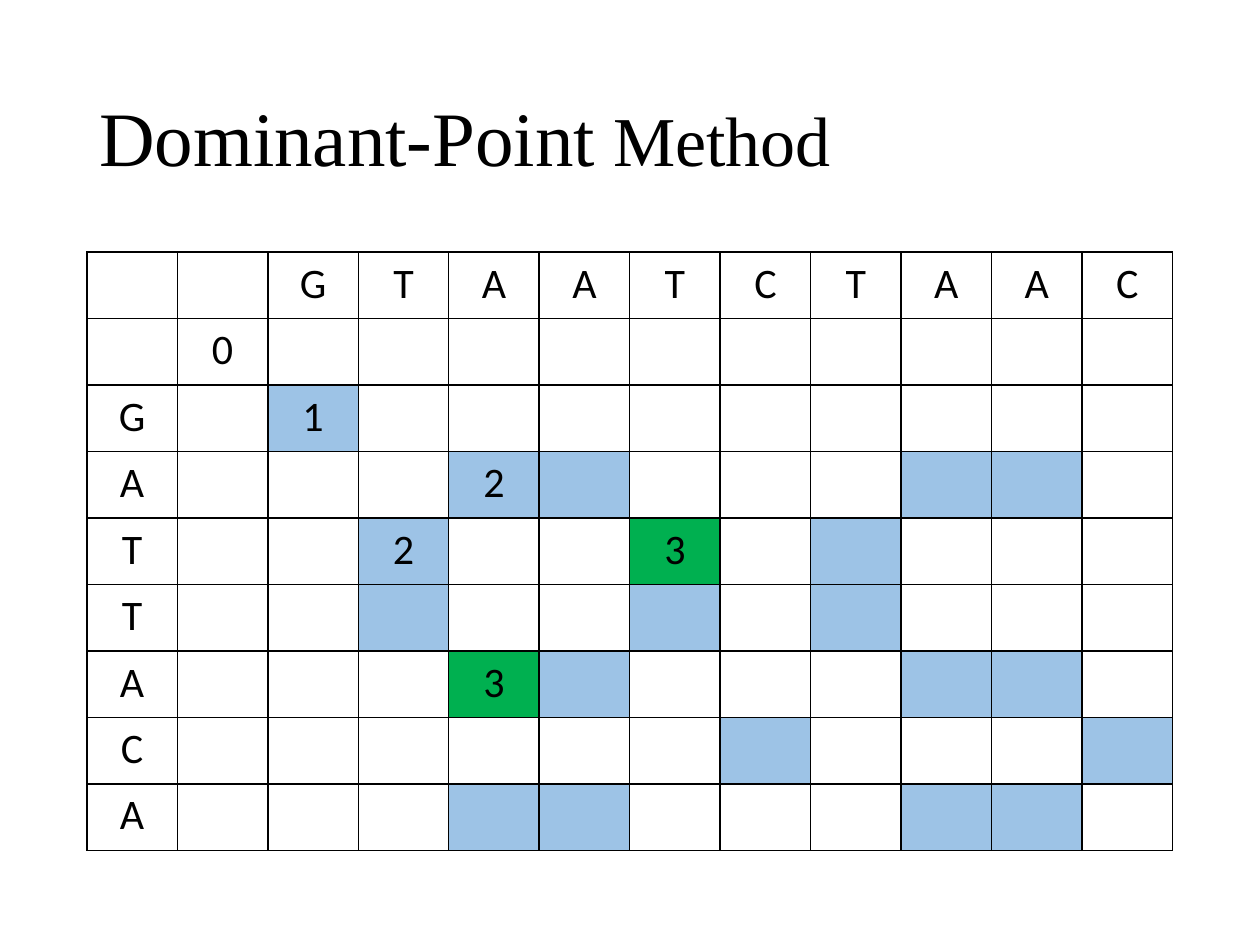
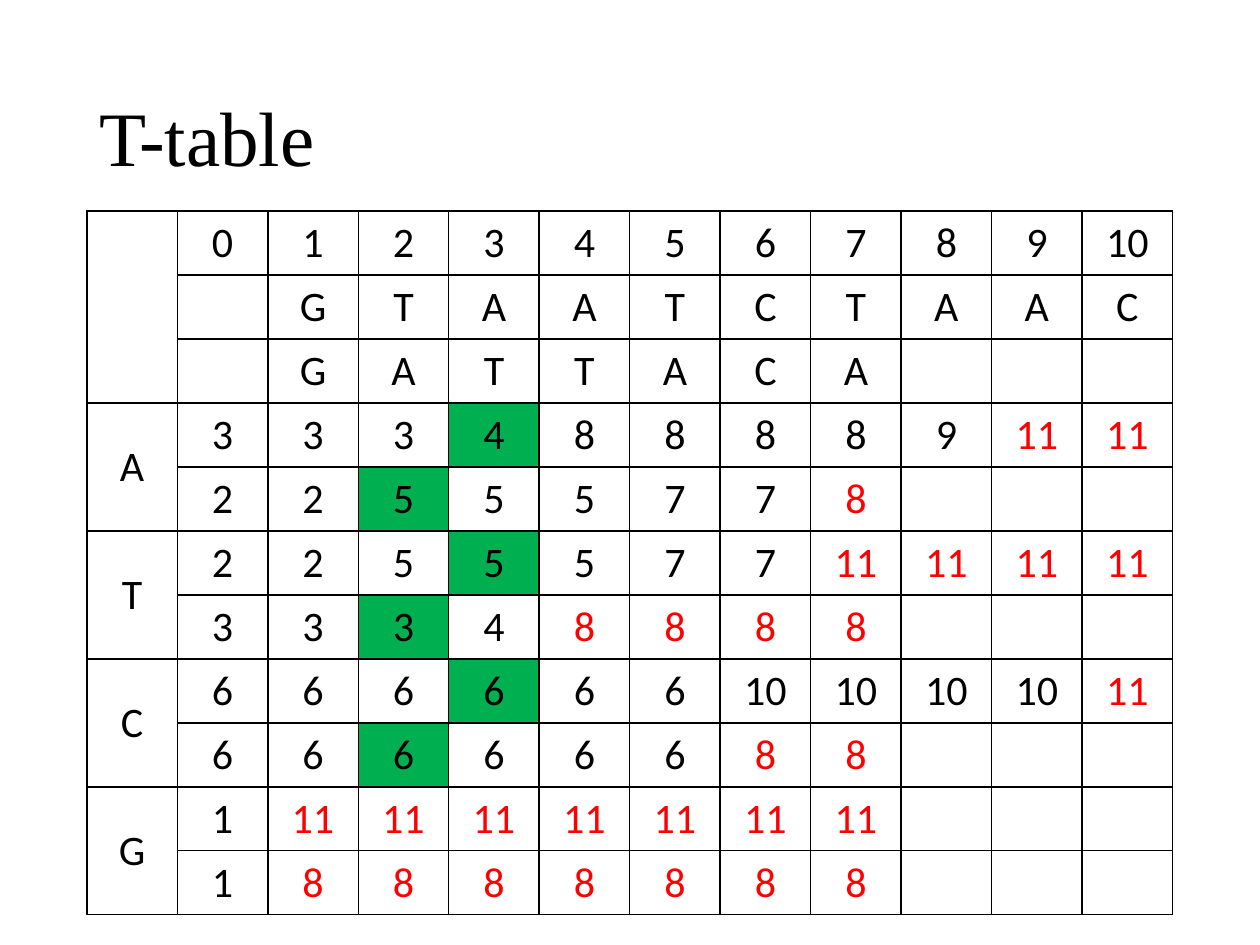
from lxml import etree
from pptx import Presentation
from pptx.dml.color import RGBColor
from pptx.enum.text import MSO_ANCHOR, PP_ALIGN
from pptx.oxml.ns import qn
from pptx.util import Cm, Pt

BLACK = RGBColor(0x00, 0x00, 0x00)
WHITE = RGBColor(0xFF, 0xFF, 0xFF)
BLUE = RGBColor(0x9D, 0xC3, 0xE6)
GREEN = RGBColor(0x00, 0xB0, 0x50)
RED = RGBColor(0xFF, 0x00, 0x00)
LEFT, CENTER = PP_ALIGN.LEFT, PP_ALIGN.CENTER
TOP, MIDDLE = MSO_ANCHOR.TOP, MSO_ANCHOR.MIDDLE
SERIF, SANS = "Times New Roman", "Calibri"

LONG, SHORT = "GTAATCTAAC", "GATTACA"
COLS = len(LONG) + 2
EDGE, WIDE = Cm(1.75), Cm(21.9)


def write(text, para, size=24, face=SANS, color=BLACK, align=CENTER):
    para.alignment = align
    run = para.add_run()
    run.text = text
    run.font.size = Pt(size)
    run.font.name = face
    run.font.color.rgb = color


def grid(slide, top, rows, tall):
    frame = slide.shapes.add_table(rows, COLS, EDGE, top, WIDE, tall * rows)
    table = frame.table
    table.first_row = table.horz_banding = False
    for col in table.columns:
        col.width = WIDE // COLS
    for row in table.rows:
        row.height = tall
    for cell in table.iter_cells():
        props = cell._tc.get_or_add_tcPr()
        for side in ("a:lnL", "a:lnR", "a:lnT", "a:lnB"):
            line = etree.SubElement(props, qn(side), w=str(Pt(1)))
            fill = etree.SubElement(line, qn("a:solidFill"))
            etree.SubElement(fill, qn("a:srgbClr"), val=str(BLACK))
        cell.fill.solid()
        cell.fill.fore_color.rgb = WHITE
    return table


deck = Presentation()
deck.slide_width, deck.slide_height = Cm(25.4), Cm(19.05)

titles = [
    [("Dominant-Point", 44), (" Method", 40)],
    [("T-table", 44)],
]
slides = []
for parts in titles:
    slide = deck.slides.add_slide(deck.slide_layouts[6])
    box = slide.shapes.add_textbox(EDGE, Cm(1.01), WIDE, Cm(3.68))
    box.text_frame.word_wrap = True
    box.text_frame.vertical_anchor = MIDDLE
    para = box.text_frame.paragraphs[0]
    para.line_spacing = 0.9
    for text, size in parts:
        write(text, para, size=size, face=SERIF, align=LEFT)
    slides.append(slide)

points = {(1, 1): "0", (2, 2): "1", (3, 4): "2", (4, 3): "2", (4, 6): "3", (6, 4): "3"}
table = grid(slides[0], Cm(5.08), len(SHORT) + 2, Cm(1.34))
for r, down in enumerate("  " + SHORT):
    for c, over in enumerate("  " + LONG):
        cell = table.cell(r, c)
        cell.vertical_anchor = TOP
        text = points.get((r, c), "")
        if r == 0:
            text = over.strip()
        elif c == 0:
            text = down.strip()
        elif down == over != " ":
            cell.fill.fore_color.rgb = GREEN if text == "3" else BLUE
        if text:
            write(text, cell.text_frame.paragraphs[0])

LETTERS = "ATCG"
HEAD = 3
rows = [
    [(str(n), BLACK) for n in range(len(LONG) + 1)],
    [("", BLACK)] + [(x, BLACK) for x in LONG],
    [("", BLACK)] + [(x, BLACK) for x in SHORT],
]
for letter in LETTERS:
    for word in (LONG, SHORT):
        end = len(word) + 1
        count = len(SHORT) + 1 if letter == "G" else end
        nexts = [word.find(letter, n) + 1 or end for n in range(count)]
        rows.append([(str(n), RED if n == end else BLACK) for n in nexts])

table = grid(slides[1], Cm(4.25), len(rows), Cm(1.29))
for r, row in enumerate(rows):
    for c, (text, color) in enumerate(row, 1):
        cell = table.cell(r, c)
        cell.vertical_anchor = MIDDLE
        if text:
            write(text, cell.text_frame.paragraphs[0], color=color)

table.cell(0, 0).merge(table.cell(HEAD - 1, 0))
for n, letter in enumerate(LETTERS):
    r = HEAD + 2 * n
    cell = table.cell(r, 0)
    cell.merge(table.cell(r + 1, 0))
    cell.vertical_anchor = MIDDLE
    write(letter, cell.text_frame.paragraphs[0])
    if letter != "G":
        table.cell(r, 4).fill.fore_color.rgb = GREEN
        table.cell(r + 1, 3).fill.fore_color.rgb = GREEN

deck.save("out.pptx")
